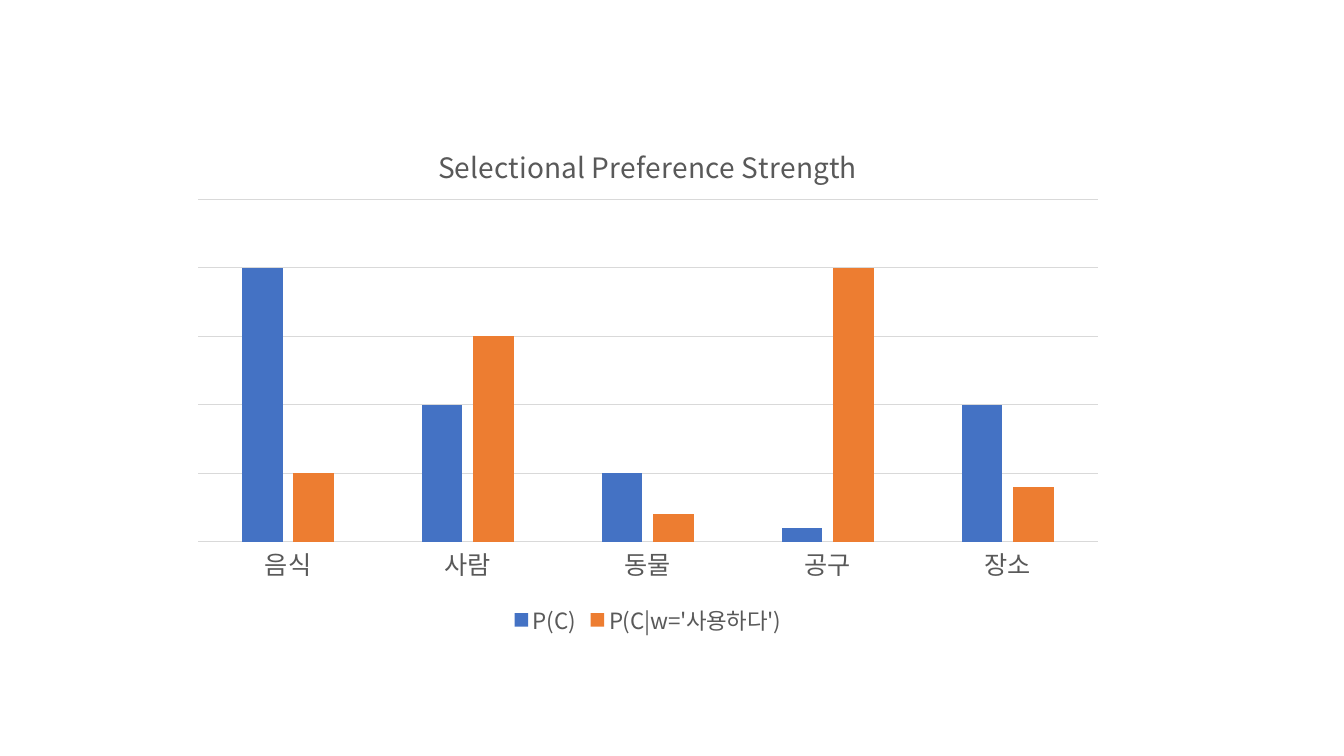
from lxml.etree import SubElement
from pptx import Presentation
from pptx.chart.data import CategoryChartData
from pptx.dml.color import RGBColor
from pptx.enum.chart import XL_CHART_TYPE, XL_LEGEND_POSITION, XL_TICK_MARK
from pptx.oxml import parse_xml
from pptx.oxml.ns import nsdecls, qn
from pptx.util import Cm, Pt

FONT = "Noto Sans CJK KR"
TEXT_COLOUR = "595959"
LINE_COLOUR = "D9D9D9"

TITLE = "Selectional Preference Strength"
CATEGORIES = ["음식", "사람", "동물", "공구", "장소"]
SERIES = [
    ("P(C)", [100, 50, 25, 5, 50], "4472C4"),
    ("P(C|w='사용하다')", [25, 75, 10, 100, 20], "ED7D31"),
]


def colour(hex_string):
    return RGBColor.from_string(hex_string)


def style_font(font, size):
    font.name = FONT
    font.size = Pt(size)
    font.bold = False
    font.color.rgb = colour(TEXT_COLOUR)


def style_line(line):
    line.color.rgb = colour(LINE_COLOUR)
    line.width = Pt(0.75)


def add_column_chart(slide):
    data = CategoryChartData()
    data.categories = CATEGORIES
    for name, values, _ in SERIES:
        data.add_series(name, values)
    frame = slide.shapes.add_chart(
        XL_CHART_TYPE.COLUMN_CLUSTERED,
        Cm(4.52), Cm(3.07), Cm(23.62), Cm(13.06), data)
    chart = frame.chart
    style_font(chart.font, 10)
    return chart


def style_columns(plot):
    plot.gap_width = 219
    plot.overlap = -27
    plot.vary_by_categories = False
    for series, (_, _, fill_colour) in zip(plot.series, SERIES):
        series.format.fill.solid()
        series.format.fill.fore_color.rgb = colour(fill_colour)


def style_axes(chart):
    category_axis = chart.category_axis
    category_axis.major_tick_mark = XL_TICK_MARK.NONE
    style_font(category_axis.tick_labels.font, 18)
    style_line(category_axis.format.line)

    value_axis = chart.value_axis
    value_axis.minimum_scale = 0
    value_axis.maximum_scale = 125
    value_axis.major_unit = 25
    value_axis.has_major_gridlines = True
    style_line(value_axis.major_gridlines.format.line)
    value_axis.visible = False


def add_title(chart):
    chart.has_title = True
    chart.chart_title.include_in_layout = False
    text_frame = chart.chart_title.text_frame
    text_frame.text = TITLE
    style_font(text_frame.paragraphs[0].font, 20)


def add_legend(chart):
    chart.has_legend = True
    chart.legend.position = XL_LEGEND_POSITION.BOTTOM
    chart.legend.include_in_layout = False
    style_font(chart.legend.font, 16)


def place_plot(chart, left, top, width, height):
    """Place the inner plot area, in fractions of the chart."""
    plot_area = chart.element.find(".//" + qn("c:plotArea"))
    for layout in plot_area.findall(qn("c:layout")):
        plot_area.remove(layout)
    plot_area.insert(0, parse_xml(
        f'<c:layout {nsdecls("c")}><c:manualLayout>'
        '<c:layoutTarget val="inner"/>'
        '<c:xMode val="edge"/><c:yMode val="edge"/>'
        f'<c:x val="{left}"/><c:y val="{top}"/>'
        f'<c:w val="{width}"/><c:h val="{height}"/>'
        '</c:manualLayout></c:layout>'))


def set_east_asian_font(chart):
    for latin in list(chart.element.iter(qn("a:latin"))):
        east_asian = SubElement(latin.getparent(), qn("a:ea"))
        east_asian.set("typeface", FONT)
        latin.addnext(east_asian)


def main():
    presentation = Presentation()
    presentation.slide_width = Cm(33.87)
    presentation.slide_height = Cm(19.05)
    slide = presentation.slides.add_slide(presentation.slide_layouts[6])

    # Chart with its columns and axes
    chart = add_column_chart(slide)
    style_columns(chart.plots[0])
    style_axes(chart)

    # Title, legend and plot position
    add_title(chart)
    add_legend(chart)
    place_plot(chart, 0.02, 0.15, 0.96, 0.66)
    set_east_asian_font(chart)

    presentation.save("out.pptx")


if __name__ == "__main__":
    main()
